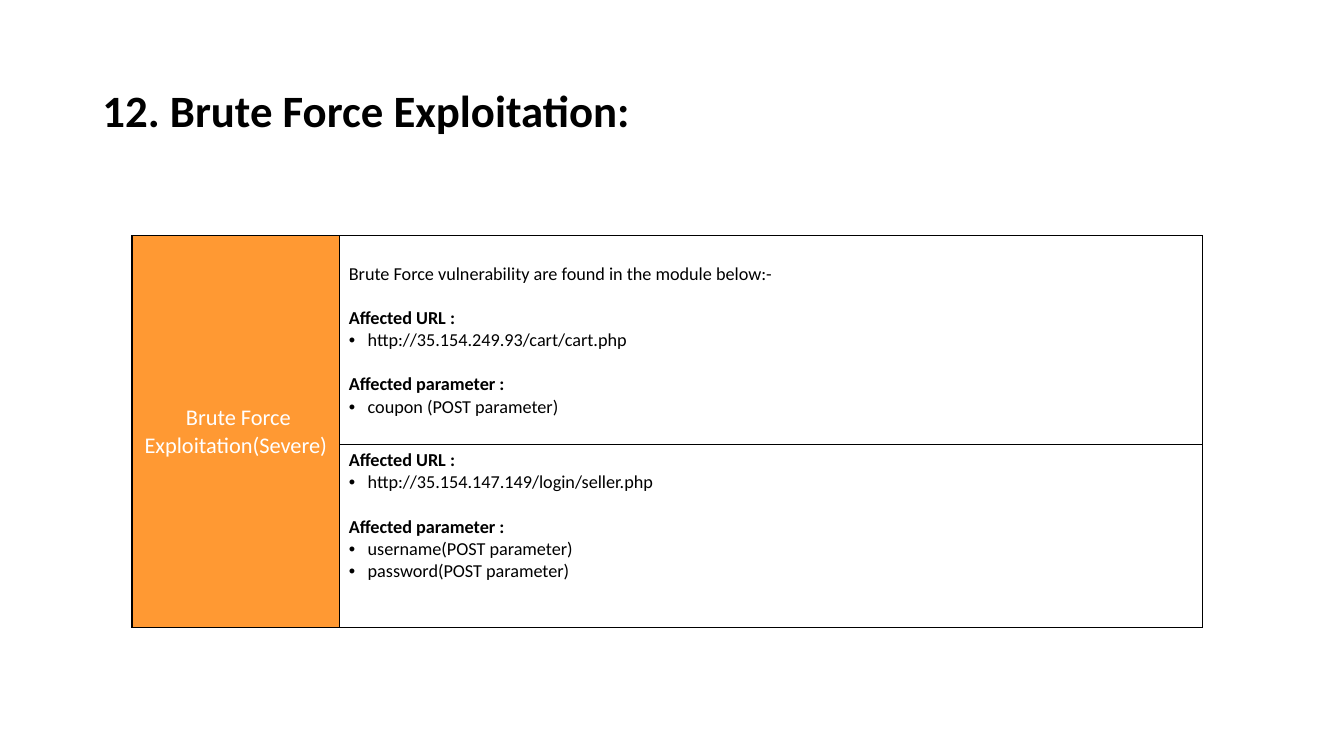
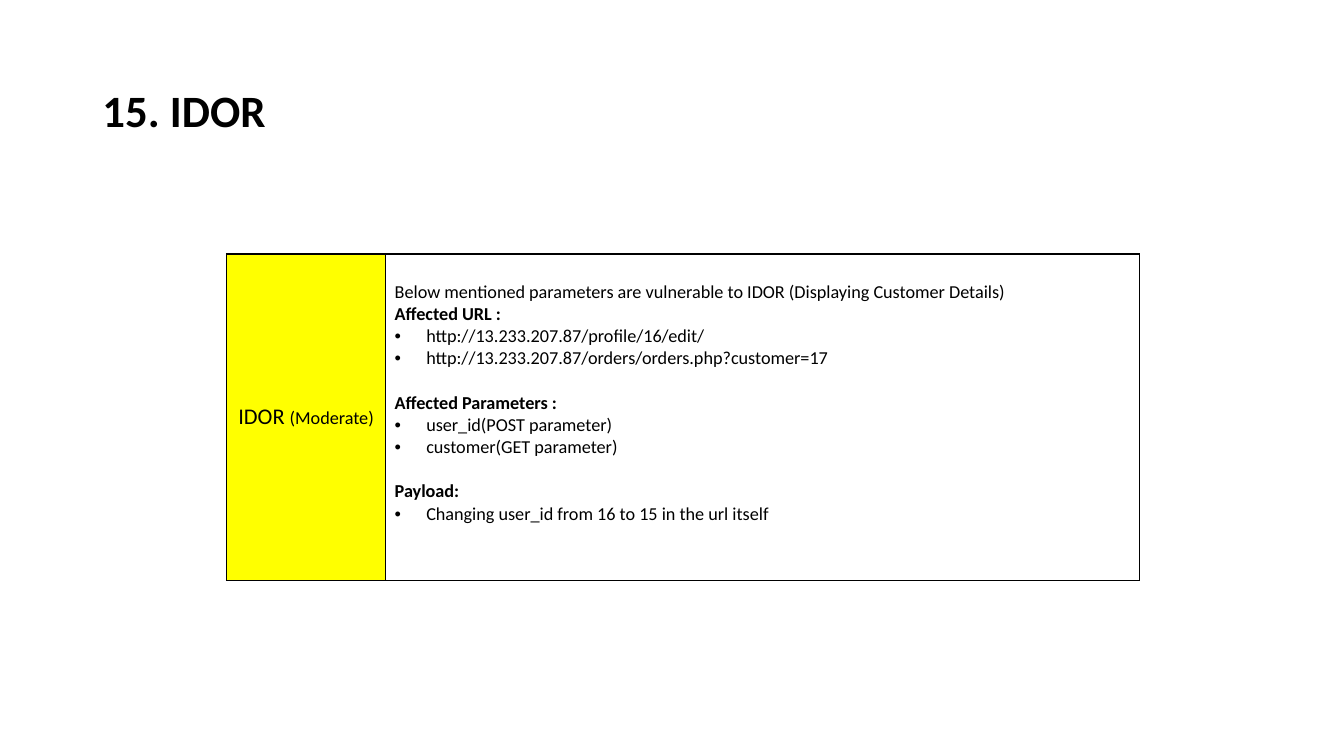
from lxml import etree
from pptx import Presentation
from pptx.dml.color import RGBColor
from pptx.enum.text import MSO_ANCHOR, MSO_AUTO_SIZE, PP_ALIGN
from pptx.oxml.ns import qn
from pptx.util import Pt

LEFT, CENTER = PP_ALIGN.LEFT, PP_ALIGN.CENTER
TOP, MIDDLE = MSO_ANCHOR.TOP, MSO_ANCHOR.MIDDLE
NO_FIT = MSO_AUTO_SIZE.NONE
TITLE_ONLY = 5

FONT = "Calibri"
BLACK, WHITE, ORANGE, YELLOW = "000000", "FFFFFF", "FF9933", "FFFF00"
TITLE_BOX = (66, 29, 828, 104)
TITLE_SIZE, LABEL_SIZE, BODY_SIZE = 32, 16, 13
LINE = 15.8
PAD_X, PAD_Y = 6.6, 3.6
BORDER = 1
ALL_SIDES = ("lnL", "lnR", "lnT", "lnB")

FINDINGS = [
    {
        "title": "12. Brute Force Exploitation:",
        "label": [(" Brute Force Exploitation(Severe)", LABEL_SIZE)],
        "fill": ORANGE, "color": WHITE,
        "box": (94.3, 146.1, 764.6, 302.3), "label_width": 148.3,
        "header_height": 22.3, "heights": [149, 131], "indent": 13.5,
        "details": [
            ("Brute Force vulnerability are found in the module below:-", [
                ("Affected URL :", True, ["http://35.154.249.93/cart/cart.php"]),
                ("Affected parameter :", True, ["coupon (POST parameter)"]),
            ]),
            (None, [
                ("Affected URL :", False, ["http://35.154.147.149/login/seller.php"]),
                ("Affected parameter :", True,
                 ["username(POST parameter)", "password(POST parameter)"]),
            ]),
        ],
    },
    {
        "title": "15. IDOR",
        "label": [("IDOR ", LABEL_SIZE), ("(Moderate)", BODY_SIZE)],
        "fill": YELLOW, "color": BLACK,
        "box": (161.8, 155.5, 652.1, 258.9), "label_width": 113.6,
        "header_height": 25.9, "heights": [233], "indent": 22.5,
        "details": [
            ("Below mentioned parameters are vulnerable to IDOR "
             "(Displaying Customer Details)", [
                 ("Affected URL :", False,
                  ["http://13.233.207.87/profile/16/edit/",
                   "http://13.233.207.87/orders/orders.php?customer=17"]),
                 ("Affected Parameters :", True,
                  ["user_id(POST parameter)", "customer(GET parameter)"]),
                 ("Payload:", True,
                  ["Changing user_id from 16 to 15 in the url itself"]),
             ]),
        ],
    },
]


def rgb(color):
    return RGBColor.from_string(color)


def add_run(p, text, size, color=BLACK, bold=False):
    r = p.add_run()
    r.text = text
    r.font.name = FONT
    r.font.size = Pt(size)
    r.font.bold = bold
    r.font.color.rgb = rgb(color)


def add_bullet(p, indent):
    pPr = p._p.get_or_add_pPr()
    pPr.set("marL", str(Pt(indent)))
    pPr.set("indent", str(-Pt(indent)))
    etree.SubElement(pPr, qn("a:buFont")).set("typeface", "Arial")
    etree.SubElement(pPr, qn("a:buChar")).set("char", "•")


def add_borders(cell, sides):
    tcPr = cell._tc.get_or_add_tcPr()
    for i, side in enumerate(ALL_SIDES):
        ln = etree.Element(qn("a:" + side), w=str(Pt(BORDER)))
        if side in sides:
            solid = etree.SubElement(ln, qn("a:solidFill"))
            etree.SubElement(solid, qn("a:srgbClr")).set("val", BLACK)
        else:
            etree.SubElement(ln, qn("a:noFill"))
        tcPr.insert(i, ln)


def style_cell(cell, fill, anchor):
    cell.fill.solid()
    cell.fill.fore_color.rgb = rgb(fill)
    cell.vertical_anchor = anchor
    cell.margin_left = cell.margin_right = Pt(PAD_X)
    cell.margin_top = cell.margin_bottom = Pt(PAD_Y)
    add_borders(cell, ALL_SIDES)


def style_header(cell):
    cell.fill.background()
    cell.margin_top = cell.margin_bottom = Pt(0)
    add_borders(cell, ("lnB",))


def add_title(s, text, box):
    sp = s.shapes.title
    sp.left, sp.top, sp.width, sp.height = map(Pt, box)
    tf = sp.text_frame
    tf.auto_size = NO_FIT
    tf.vertical_anchor = MIDDLE
    p = tf.paragraphs[0]
    p.alignment = LEFT
    p.line_spacing = 0.9
    add_run(p, text, TITLE_SIZE, bold=True)


def fill_details(cell, intro, groups, indent):
    style_cell(cell, WHITE, TOP)
    lines = []
    if intro:
        cell.margin_top = Pt(PAD_Y + LINE)
        lines.append((intro, False, False, False))
    for heading, gap, items in groups:
        lines.append((heading, True, gap, False))
        lines += [(item, False, False, True) for item in items]
    tf = cell.text_frame
    for i, (text, bold, gap, bullet) in enumerate(lines):
        p = tf.add_paragraph() if i else tf.paragraphs[0]
        if gap:
            p.space_before = Pt(LINE)
        if bullet:
            add_bullet(p, indent)
        add_run(p, text, BODY_SIZE, bold=bold)


def add_finding_table(s, finding, box):
    x, y, w, h = box
    heights = finding["heights"]
    last = len(heights)
    frame = s.shapes.add_table(last + 1, 2, Pt(x), Pt(y), Pt(w), Pt(h))
    table = frame.table
    table.first_row = table.horz_banding = False
    table.columns[0].width = Pt(finding["label_width"])
    table.columns[1].width = Pt(w - finding["label_width"])
    table.rows[0].height = Pt(finding["header_height"])
    for col in range(2):
        style_header(table.cell(0, col))
    for i, (height, (intro, groups)) in enumerate(zip(heights, finding["details"]), 1):
        table.rows[i].height = Pt(height)
        style_cell(table.cell(i, 0), finding["fill"], MIDDLE)
        fill_details(table.cell(i, 1), intro, groups, finding["indent"])
    label = table.cell(1, 0)
    if last > 1:
        label.merge(table.cell(last, 0))
    p = label.text_frame.paragraphs[0]
    p.alignment = CENTER
    for text, size in finding["label"]:
        add_run(p, text, size, finding["color"])


def add_finding_slide(prs, finding):
    s = prs.slides.add_slide(prs.slide_layouts[TITLE_ONLY])
    add_title(s, finding["title"], TITLE_BOX)
    add_finding_table(s, finding, finding["box"])


def main():
    prs = Presentation()
    prs.slide_width, prs.slide_height = Pt(960), Pt(540)
    for finding in FINDINGS:
        add_finding_slide(prs, finding)
    prs.save("out.pptx")


if __name__ == "__main__":
    main()
